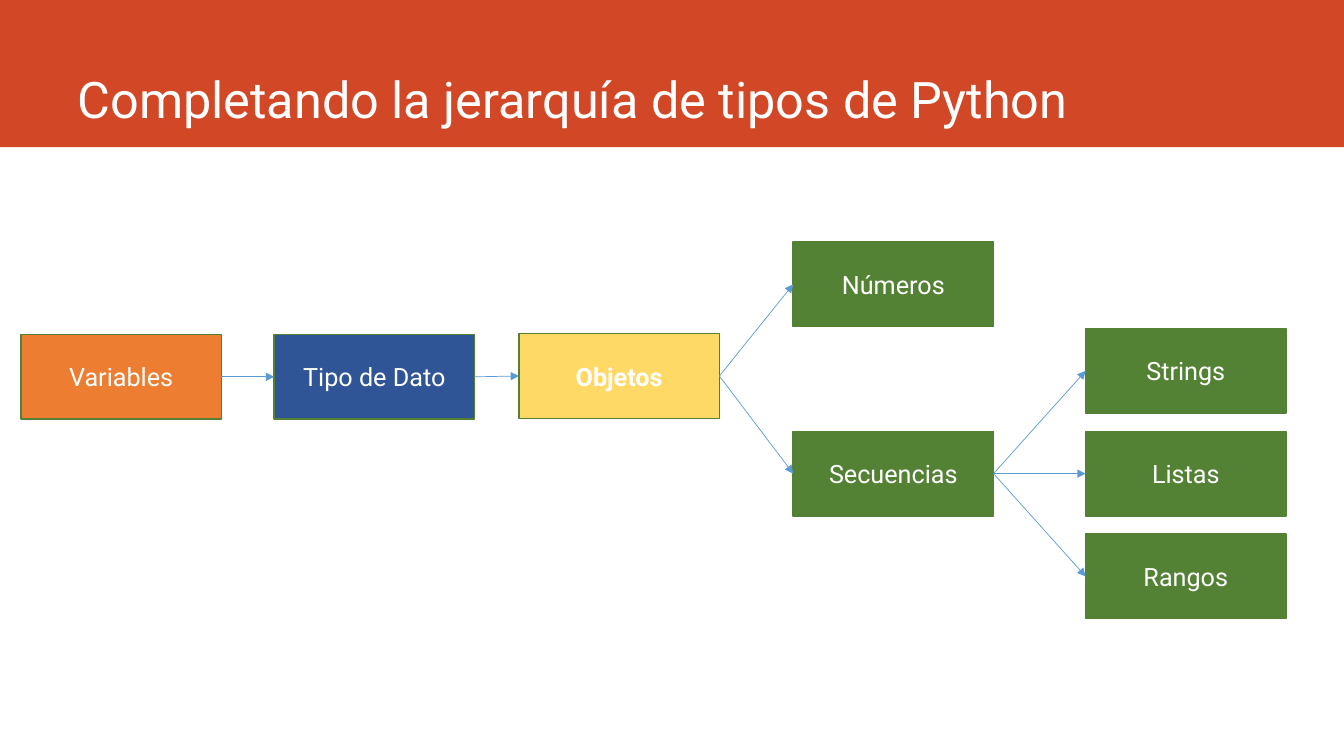
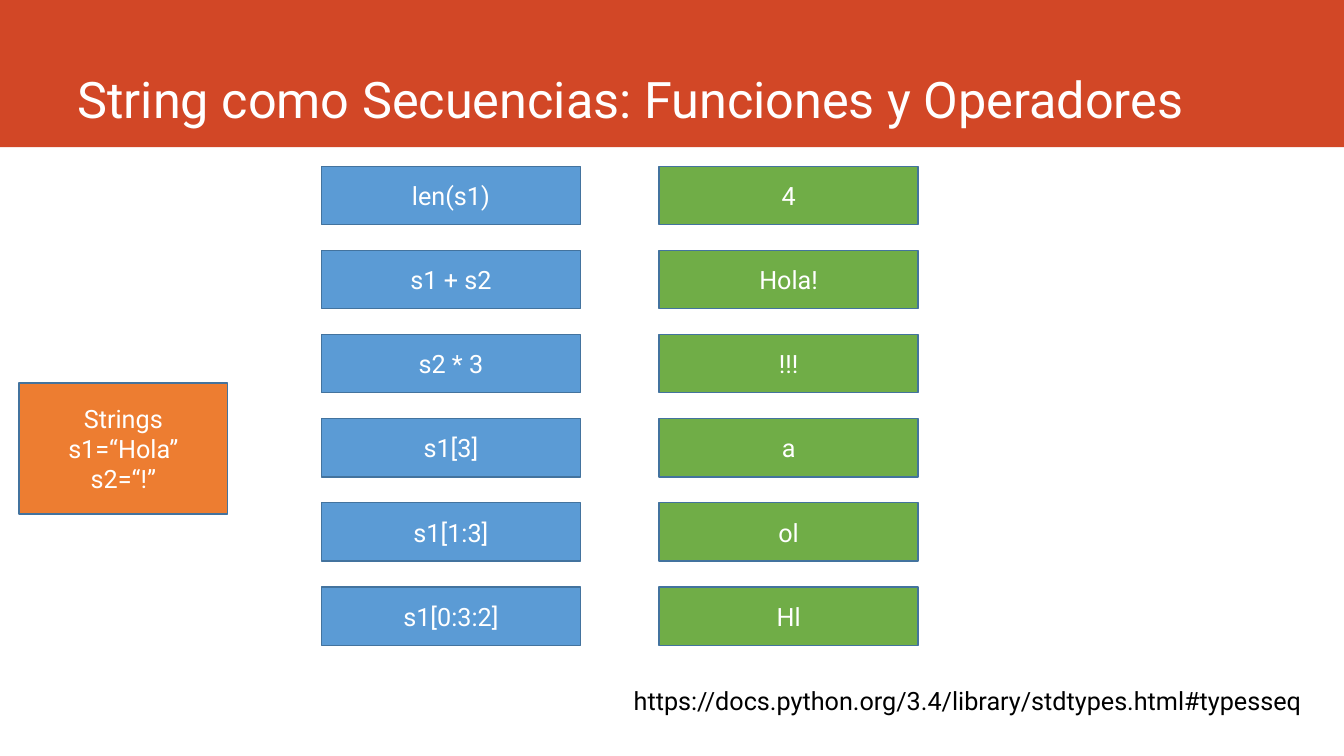
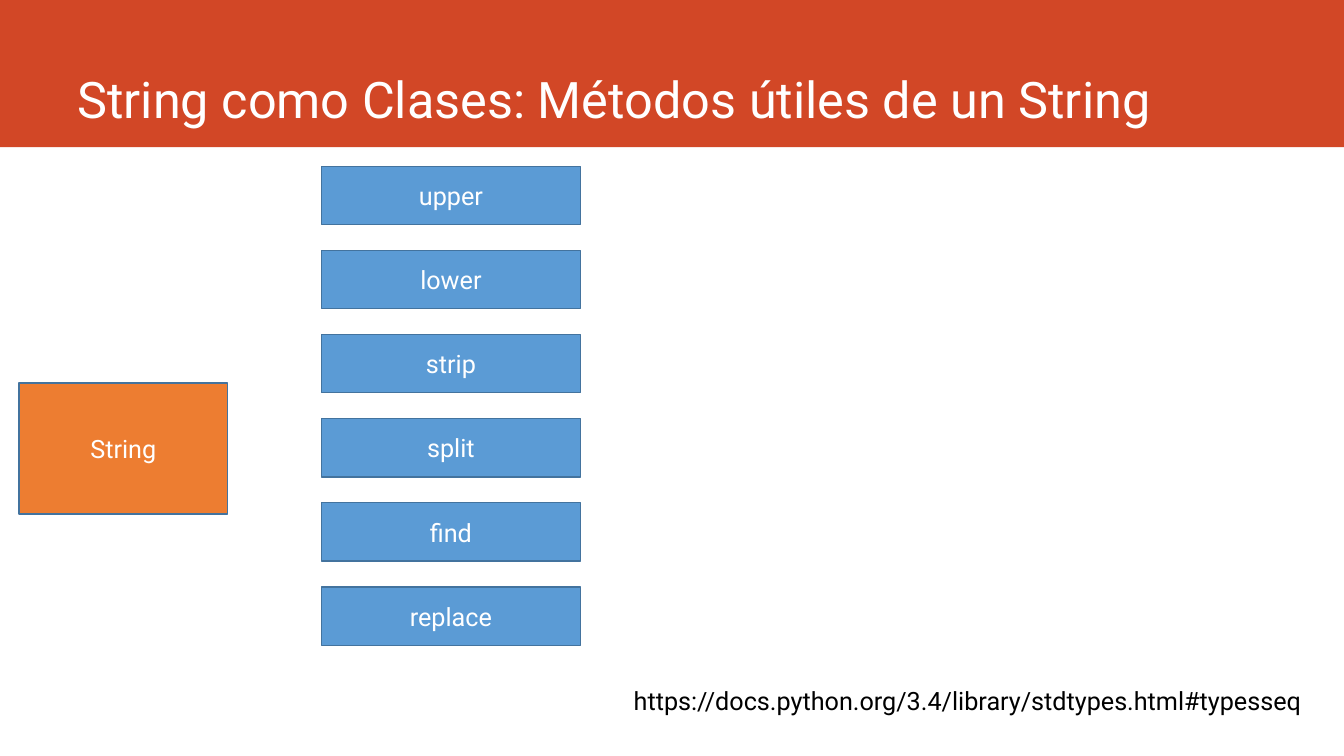
"""Build three slides on Python types, string operators and string methods."""
from dataclasses import dataclass

from lxml.etree import SubElement
from pptx import Presentation
from pptx.dml.color import RGBColor
from pptx.enum.shapes import MSO_CONNECTOR as Link, MSO_SHAPE as Preset
from pptx.enum.text import MSO_ANCHOR as Anchor, MSO_AUTO_SIZE as Fit, PP_ALIGN as Align
from pptx.oxml.ns import qn
from pptx.presentation import Presentation as Deck
from pptx.shapes.autoshape import Shape
from pptx.slide import Slide
from pptx.text.text import TextFrame
from pptx.util import Cm, Pt

COLORS = {
    "band": "D24726", "white": "FFFFFF", "black": "000000",
    "orange": "ED7D31", "navy": "2F5597", "yellow": "FFD966",
    "forest": "548235", "forest_edge": "538035",
    "blue": "5B9BD5", "blue_edge": "43739E", "green": "70AD47",
}
TITLE_FONT = {"name": "Roboto", "size": Pt(36), "bold": False}
BODY_FONT = {"name": "Roboto", "size": Pt(18), "bold": False}
STRONG_FONT = BODY_FONT | {"bold": True}
TITLE_PLACE = {"left": Cm(1.7), "top": Cm(0), "width": Cm(29.85), "height": Cm(3.4)}
TITLE_FRAME = {"vertical_anchor": Anchor.BOTTOM, "word_wrap": True, "auto_size": Fit.NONE}
TITLE_PARA = {"alignment": Align.LEFT, "line_spacing": 0.9}
BOX_FRAME = {"vertical_anchor": Anchor.MIDDLE, "word_wrap": True}
BOX_PARA = {"alignment": Align.CENTER}
LINK_FRAME = {"word_wrap": True, "auto_size": Fit.SHAPE_TO_FIT_TEXT}

SLIDE_WIDTH, SLIDE_HEIGHT, BAND_HEIGHT = 33.87, 19.05, 3.71
NODE_WIDTH, NODE_HEIGHT = 5.05, 2.13
CELL_WIDTH, CELL_HEIGHT, CELL_TOP, CELL_PITCH = 6.53, 1.47, 4.19, 2.12
CALL_LEFT, RESULT_LEFT = 8.1, 16.61
BRANCH_LEFT, LEAF_LEFT, LEAF_TOP, LEAF_PITCH = 19.99, 27.36, 8.28, 2.59
RIGHT_SIDE, LEFT_SIDE = 3, 1
DOCS_ADDRESS = "https://docs.python.org/3.4/library/stdtypes.html#typesseq"


@dataclass(frozen=True)
class Box:
    """A filled rectangle with centred text, measured in centimetres."""
    text: str
    left: float
    top: float
    fill: str
    width: float = NODE_WIDTH
    height: float = NODE_HEIGHT
    edge: str = "forest_edge"
    strong: bool = False


LEAVES = ["Strings", "Listas", "Rangos"]
NODES = [
    Box("Variables", 0.53, 8.43, "orange"),
    Box("Tipo de Dato", 6.91, 8.43, "navy"),
    Box("Objetos", 13.08, 8.41, "yellow", strong=True),
    Box("Números", BRANCH_LEFT, 6.1, "forest"),
    Box("Secuencias", BRANCH_LEFT, LEAF_TOP + LEAF_PITCH, "forest"),
    *(Box(name, LEAF_LEFT, LEAF_TOP + row * LEAF_PITCH, "forest")
      for row, name in enumerate(LEAVES)),
]
ARROWS = [
    ("Variables", "Tipo de Dato"), ("Tipo de Dato", "Objetos"),
    ("Objetos", "Números"), ("Objetos", "Secuencias"),
    *(("Secuencias", name) for name in LEAVES),
]
CALLS = ["len(s1)", "s1 + s2", "s2 * 3", "s1[3]", "s1[1:3]", "s1[0:3:2]"]
RESULTS = ["4", "Hola!", "!!!", "a", "ol", "Hl"]
METHODS = ["upper", "lower", "strip", "split", "find", "replace"]


def rgb(name: str) -> RGBColor:
    """Return the named colour."""
    return RGBColor.from_string(COLORS[name])


def apply(target: object, values: dict) -> None:
    """Set every attribute listed in the format values."""
    for name, value in values.items():
        setattr(target, name, value)


def write(frame: TextFrame, text: str, font: dict, color: str,
          frame_format: dict, para_format: dict) -> None:
    """Fill a text frame, one paragraph per line of text."""
    apply(frame, frame_format)
    frame.text = text
    for para in frame.paragraphs:
        apply(para, para_format)
        for span in para.runs:
            apply(span.font, font)
            span.font.color.rgb = rgb(color)


def add_rectangle(page: Slide, left: float, top: float, width: float,
                  height: float, fill: str) -> Shape:
    """Add a flat filled rectangle."""
    shape = page.shapes.add_shape(
        Preset.RECTANGLE, Cm(left), Cm(top), Cm(width), Cm(height))
    shape.shadow.inherit = False
    shape.fill.solid()
    shape.fill.fore_color.rgb = rgb(fill)
    return shape


def add_box(page: Slide, box: Box) -> Shape:
    """Draw one box with its outline and text."""
    shape = add_rectangle(page, box.left, box.top, box.width, box.height, box.fill)
    shape.line.color.rgb = rgb(box.edge)
    shape.line.width = Pt(1)
    font = STRONG_FONT if box.strong else BODY_FONT
    write(shape.text_frame, box.text, font, "white", BOX_FRAME, BOX_PARA)
    return shape


def add_arrow(page: Slide, source: Shape, target: Shape) -> None:
    """Join the right side of one box to the left side of another."""
    arrow = page.shapes.add_connector(Link.STRAIGHT, 0, 0, 0, 0)
    arrow.begin_connect(source, RIGHT_SIDE)
    arrow.end_connect(target, LEFT_SIDE)
    arrow.line.color.rgb = rgb("blue")
    arrow.line.width = Pt(0.5)
    properties = arrow.element.spPr
    SubElement(properties.find(qn("a:ln")), qn("a:tailEnd"), type="triangle")
    SubElement(properties, qn("a:effectLst"))


def add_page(deck: Deck, title: str) -> Slide:
    """Add a slide with the red band behind its title."""
    page = deck.slides.add_slide(deck.slide_layouts.get_by_name("Title Only"))
    heading = page.shapes.title
    apply(heading, TITLE_PLACE)
    write(heading.text_frame, title, TITLE_FONT, "white", TITLE_FRAME, TITLE_PARA)
    band = add_rectangle(page, 0, 0, SLIDE_WIDTH, BAND_HEIGHT, "band")
    band.line.fill.background()
    heading.element.addprevious(band.element)
    return page


def add_column(page: Slide, texts: list[str], left: float, fill: str) -> None:
    """Stack equally spaced cells."""
    for row, text in enumerate(texts):
        add_box(page, Box(text, left, CELL_TOP + row * CELL_PITCH, fill,
                          CELL_WIDTH, CELL_HEIGHT, "blue_edge"))


def add_hierarchy_page(deck: Deck) -> None:
    """Draw the tree of Python types."""
    page = add_page(deck, "Completando la jerarquía de tipos de Python")
    shapes = {node.text: add_box(page, node) for node in NODES}
    for source, target in ARROWS:
        add_arrow(page, shapes[source], shapes[target])


def add_string_page(deck: Deck, title: str, subject: str, calls: list[str]) -> Slide:
    """Draw a subject box, a column of calls and the address of the docs."""
    page = add_page(deck, title)
    add_box(page, Box(subject, 0.48, 9.65, "orange", 5.26, 3.3, "blue_edge"))
    add_column(page, calls, CALL_LEFT, "blue")
    address = page.shapes.add_textbox(Cm(15.72), Cm(17.15), Cm(17.45), Cm(1.02))
    write(address.text_frame, DOCS_ADDRESS, BODY_FONT, "black", LINK_FRAME, {})
    return page


def main() -> None:
    """Build and save the deck."""
    deck = Presentation()
    apply(deck, {"slide_width": Cm(SLIDE_WIDTH), "slide_height": Cm(SLIDE_HEIGHT)})
    add_hierarchy_page(deck)
    operators = add_string_page(
        deck, "String como Secuencias: Funciones y Operadores",
        "Strings\ns1=“Hola”\ns2=“!”", CALLS)
    add_column(operators, RESULTS, RESULT_LEFT, "green")
    add_string_page(
        deck, "String como Clases: Métodos útiles de un String", "String", METHODS)
    deck.save("out.pptx")


if __name__ == "__main__":
    main()
